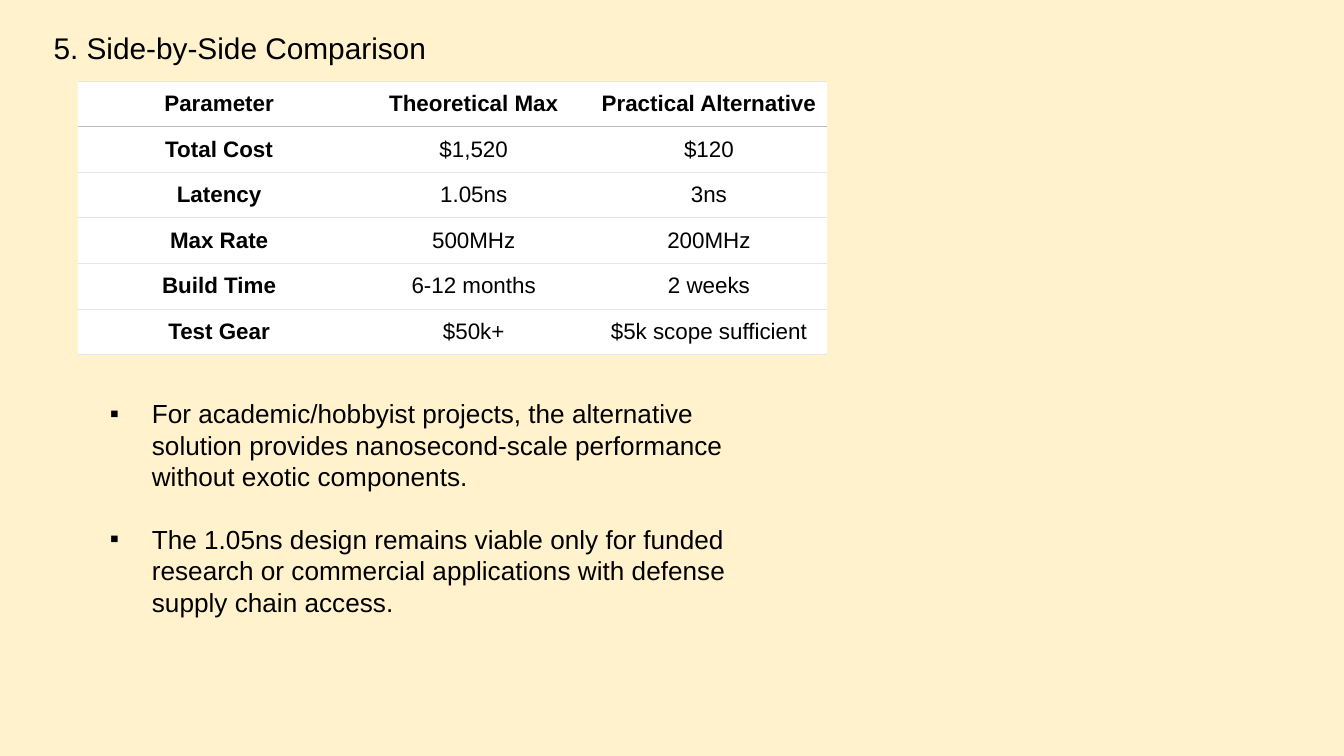
from dataclasses import dataclass

from lxml.etree import SubElement
from pptx import Presentation
from pptx.dml.color import RGBColor
from pptx.enum.text import MSO_ANCHOR, MSO_AUTO_SIZE, PP_ALIGN
from pptx.oxml import parse_xml
from pptx.oxml.ns import nsdecls, qn
from pptx.slide import Slide
from pptx.table import _Cell
from pptx.text.text import TextFrame, _Paragraph
from pptx.util import Pt

BACKGROUND, WHITE, BLACK = "FFF2CC", "FFFFFF", "000000"
HEADER_RULE, ROW_RULE = "BBBBBB", "E5E5E5"
COLUMN_WIDTHS = (149, 126, 126)
ROW_HEIGHT = 24.4
BULLET_INDENT = 22.5
BULLET_GAP = 16.8

ROWS = (
    ("Parameter", "Theoretical Max", "Practical Alternative"),
    ("Total Cost", "$1,520", "$120"),
    ("Latency", "1.05ns", "3ns"),
    ("Max Rate", "500MHz", "200MHz"),
    ("Build Time", "6-12 months", "2 weeks"),
    ("Test Gear", "$50k+", "$5k scope sufficient"),
)
CONCLUSIONS = (
    "For academic/hobbyist projects, the alternative solution provides "
    "nanosecond-scale performance without exotic components.",
    "The 1.05ns design remains viable only for funded research or commercial "
    "applications with defense supply chain access.",
)


@dataclass(frozen=True)
class Area:
    left: float
    top: float
    width: float
    height: float

    def lengths(self) -> tuple[Pt, ...]:
        return tuple(Pt(value) for value in (self.left, self.top, self.width, self.height))


TITLE_AREA = Area(21.6, 12.2, 216.7, 26.6)
TABLE_AREA = Area(41.8, 43.4, sum(COLUMN_WIDTHS), ROW_HEIGHT * len(ROWS))
CONCLUSION_AREA = Area(51.8, 209.5, 360, 126)


def color(value: str) -> RGBColor:
    return RGBColor.from_string(value)


def write(para: _Paragraph, text: str, size: float, bold: bool = False) -> None:
    span = para.add_run()
    span.text = text
    for name, value in {"name": "Arial", "size": Pt(size), "bold": bold}.items():
        setattr(span.font, name, value)
    span.font.color.rgb = color(BLACK)


def add_text_frame(slide: Slide, area: Area, wrap: bool) -> TextFrame:
    frame = slide.shapes.add_textbox(*area.lengths()).text_frame
    frame.word_wrap = wrap
    frame.auto_size = MSO_AUTO_SIZE.SHAPE_TO_FIT_TEXT
    return frame


def set_borders(cell: _Cell, top: str, bottom: str) -> None:
    """Rule the cell above and below and clear its sides."""
    properties = cell._tc.get_or_add_tcPr()
    borders = {"lnL": None, "lnR": None, "lnT": top, "lnB": bottom}
    for index, (tag, value) in enumerate(borders.items()):
        paint = f'<a:solidFill><a:srgbClr val="{value}"/></a:solidFill>' if value else "<a:noFill/>"
        line = parse_xml(f'<a:{tag} {nsdecls("a")} w="{Pt(0.33)}">{paint}</a:{tag}>')
        properties.insert(index, line)


def add_comparison(slide: Slide) -> None:
    shape = slide.shapes.add_table(len(ROWS), len(COLUMN_WIDTHS), *TABLE_AREA.lengths())
    table = shape.table
    table.horz_banding = False
    for column, width in zip(table.columns, COLUMN_WIDTHS):
        column.width = Pt(width)
    for row_index, texts in enumerate(ROWS):
        table.rows[row_index].height = Pt(ROW_HEIGHT)
        top = HEADER_RULE if row_index == 1 else ROW_RULE
        bottom = HEADER_RULE if row_index == 0 else ROW_RULE
        for column_index, text in enumerate(texts):
            cell = table.cell(row_index, column_index)
            layout = {
                "margin_left": Pt(5 if column_index else 7.2),
                "margin_right": Pt(5),
                "margin_top": Pt(5),
                "margin_bottom": Pt(5),
                "vertical_anchor": MSO_ANCHOR.MIDDLE,
            }
            for name, value in layout.items():
                setattr(cell, name, value)
            cell.fill.solid()
            cell.fill.fore_color.rgb = color(WHITE)
            set_borders(cell, top, bottom)
            para = cell.text_frame.paragraphs[0]
            para.alignment = PP_ALIGN.CENTER
            write(para, text, 12, bold=row_index == 0 or column_index == 0)


def add_bullet(para: _Paragraph) -> None:
    properties = para._p.get_or_add_pPr()
    properties.set("marL", str(Pt(BULLET_INDENT)))
    properties.set("indent", str(Pt(-BULLET_INDENT)))
    SubElement(properties, qn("a:buFont"), typeface="Arial")
    SubElement(properties, qn("a:buChar"), char="▪")


def add_conclusions(slide: Slide) -> None:
    frame = add_text_frame(slide, CONCLUSION_AREA, wrap=True)
    for index, text in enumerate(CONCLUSIONS):
        para = frame.add_paragraph() if index else frame.paragraphs[0]
        add_bullet(para)
        if index:
            para.space_before = Pt(BULLET_GAP)
        write(para, text, 14)


def main() -> None:
    deck = Presentation()
    deck.slide_width, deck.slide_height = Pt(720), Pt(405)
    page = deck.slides.add_slide(deck.slide_layouts[6])
    page.background.fill.solid()
    page.background.fill.fore_color.rgb = color(BACKGROUND)
    title = add_text_frame(page, TITLE_AREA, wrap=False)
    write(title.paragraphs[0], "5. Side-by-Side Comparison", 16)
    add_comparison(page)
    add_conclusions(page)
    deck.save("out.pptx")


if __name__ == "__main__":
    main()
